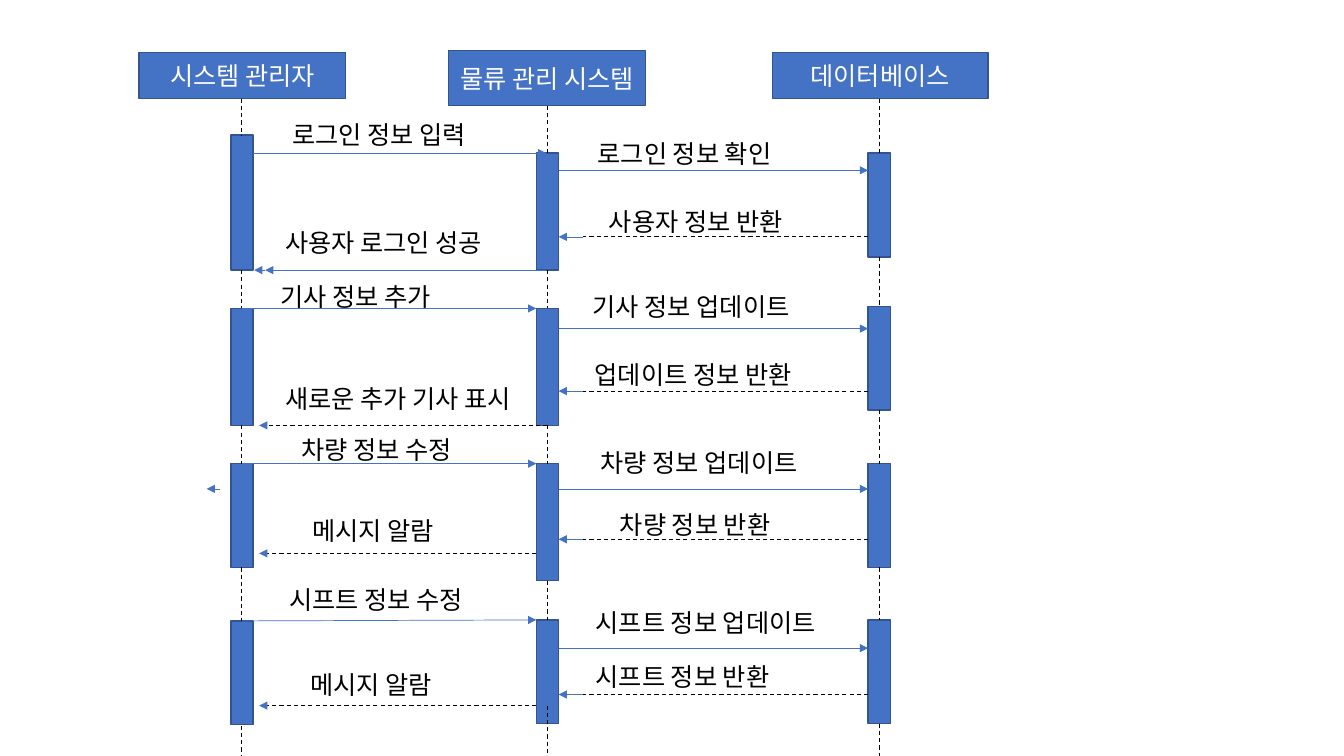
from lxml import etree
from pptx import Presentation
from pptx.dml.color import RGBColor
from pptx.enum.dml import MSO_LINE
from pptx.enum.shapes import MSO_CONNECTOR, MSO_SHAPE
from pptx.enum.text import MSO_ANCHOR, MSO_AUTO_SIZE, PP_ALIGN
from pptx.oxml.ns import qn
from pptx.util import Inches, Pt

STRAIGHT = MSO_CONNECTOR.STRAIGHT
RECTANGLE = MSO_SHAPE.RECTANGLE
DASH = MSO_LINE.DASH
MIDDLE = MSO_ANCHOR.MIDDLE
CENTER = PP_ALIGN.CENTER
GROW = MSO_AUTO_SIZE.SHAPE_TO_FIT_TEXT

BLUE = RGBColor(0x44, 0x72, 0xC4)
NAVY = RGBColor(0x32, 0x54, 0x91)
BLACK = RGBColor(0, 0, 0)
WHITE = RGBColor(0xFF, 0xFF, 0xFF)
FONT = "Noto Sans CJK SC"

PAGE_WIDTH, PAGE_HEIGHT = 13.33, 7.5
BAR_WIDTH = 0.22
LABEL_HEIGHT = 0.4

# Each bar is (top, height); last_start is where the final lifeline begins.
ACTORS = [
    {"name": "시스템 관리자", "header": (1.38, 0.52, 2.05, 0.46), "center": 2.4,
     "bars": [(1.34, 1.34), (3.06, 1.16), (4.6, 1.03), (6.16, 1.03)],
     "last_start": 7.2},
    {"name": "물류 관리 시스템", "header": (4.45, 0.5, 1.95, 0.55), "center": 5.43,
     "bars": [(1.52, 1.16), (3.06, 1.16), (4.6, 1.16), (6.15, 1.03)],
     "last_start": 7.0},
    {"name": "데이터베이스", "header": (7.66, 0.52, 2.14, 0.46), "center": 8.72,
     "bars": [(1.52, 1.03), (3.04, 1.03), (4.6, 1.03), (6.15, 1.03)],
     "last_start": 7.18},
]

# Solid arrows: start x, start y, end x, end y
CALLS = [
    (2.51, 1.52, 5.42, 1.52),
    (5.42, 2.68, 2.63, 2.68),
    (2.63, 2.68, 2.52, 2.68),
    (2.4, 3.06, 5.32, 3.06),
    (2.4, 4.6, 5.32, 4.6),
    (2.4, 6.16, 5.32, 6.15),
    (2.18, 4.85, 2.05, 4.85),
] + [(5.54, y, 8.61, y) for y in (1.69, 3.26, 4.85, 6.43)]

# Dashed replies with a solid tip: start x, joint x, end x, y
REPLIES = [(start, 2.63, 2.57, y) for start, y in ((5.43, 4.22), (5.32, 5.49), (5.32, 7.0))]
REPLIES += [(8.61, 5.78, 5.54, y) for y in (2.35, 3.88, 5.35, 6.89)]

# Labels: text, left, top, width
LABELS = [
    ("로그인 정보 입력", 2.8, 1.13, 2.11),
    ("사용자 로그인 성공", 2.73, 2.21, 2.36),
    ("기사 정보 추가", 2.68, 2.74, 1.85),
    ("새로운 추가 기사 표시", 2.73, 3.75, 2.68),
    ("차량 정보 수정", 2.89, 4.26, 1.85),
    ("메시지 알람", 3.0, 5.06, 1.53),
    ("시프트 정보 수정", 2.77, 5.75, 2.11),
    ("메시지 알람", 2.98, 6.59, 1.53),
    ("로그인 정보 확인", 5.83, 1.32, 2.11),
    ("사용자 정보 반환", 5.94, 2.0, 2.11),
    ("기사 정보 업데이트", 5.78, 2.84, 2.36),
    ("업데이트 정보 반환", 5.8, 3.52, 2.36),
    ("차량 정보 업데이트", 5.86, 4.39, 2.36),
    ("차량 정보 반환", 6.05, 5.0, 1.85),
    ("시프트 정보 업데이트", 5.81, 5.98, 2.61),
    ("시프트 정보 반환", 5.81, 6.51, 2.11),
]


def write(frame, text, color):
    para = frame.paragraphs[0]
    span = para.add_run()
    span.text = text
    for key, value in {"name": FONT, "size": Pt(18)}.items():
        setattr(span.font, key, value)
    span.font.color.rgb = color
    east_asian = etree.SubElement(span.font._element, qn("a:ea"))
    east_asian.set("typeface", FONT)
    return para


def add_block(page, *bounds):
    block = page.shapes.add_shape(RECTANGLE, *map(Inches, bounds))
    block.shadow.inherit = False
    block.fill.solid()
    block.fill.fore_color.rgb = BLUE
    block.line.color.rgb = NAVY
    block.line.width = Pt(1)
    return block


def add_line(page, points, color, width):
    line = page.shapes.add_connector(STRAIGHT, *map(Inches, points))
    line.line.color.rgb = color
    line.line.width = Pt(width)
    etree.SubElement(line._element.spPr, qn("a:effectLst"))
    return line


def add_dashed(page, *points):
    add_line(page, points, BLACK, 0.75).line.dash_style = DASH


def add_arrow(page, *points):
    arrow = add_line(page, points, BLUE, 0.5)
    tip = etree.SubElement(arrow.line._get_or_add_ln(), qn("a:tailEnd"))
    tip.set("type", "triangle")


def add_actor(page, actor):
    """Draw the header, the activation bars and the lifeline between them."""
    left, top, width, height = actor["header"]
    center, bars = actor["center"], actor["bars"]
    header = add_block(page, left, top, width, height)
    header.text_frame.word_wrap = True
    header.text_frame.vertical_anchor = MIDDLE
    write(header.text_frame, actor["name"], WHITE).alignment = CENTER

    for bar_top, bar_height in bars:
        add_block(page, center - BAR_WIDTH / 2, bar_top, BAR_WIDTH, bar_height)

    starts = [top + height] + [sum(bar) for bar in bars[:-1]] + [actor["last_start"]]
    ends = [bar_top for bar_top, _ in bars] + [PAGE_HEIGHT]
    for start, end in zip(starts, ends):
        add_dashed(page, center, start, center, end)


def add_label(page, text, left, top, width):
    box = page.shapes.add_textbox(*map(Inches, (left, top, width, LABEL_HEIGHT)))
    for key, value in {"word_wrap": False, "auto_size": GROW}.items():
        setattr(box.text_frame, key, value)
    write(box.text_frame, text, BLACK)


def main():
    deck = Presentation()
    deck.slide_width, deck.slide_height = Inches(PAGE_WIDTH), Inches(PAGE_HEIGHT)
    page = deck.slides.add_slide(deck.slide_layouts[6])
    for actor in ACTORS:
        add_actor(page, actor)
    for call in CALLS:
        add_arrow(page, *call)
    for start, joint, end, y in REPLIES:
        add_dashed(page, start, y, joint, y)
        add_arrow(page, joint, y, end, y)
    for label in LABELS:
        add_label(page, *label)
    deck.save("out.pptx")


if __name__ == "__main__":
    main()
